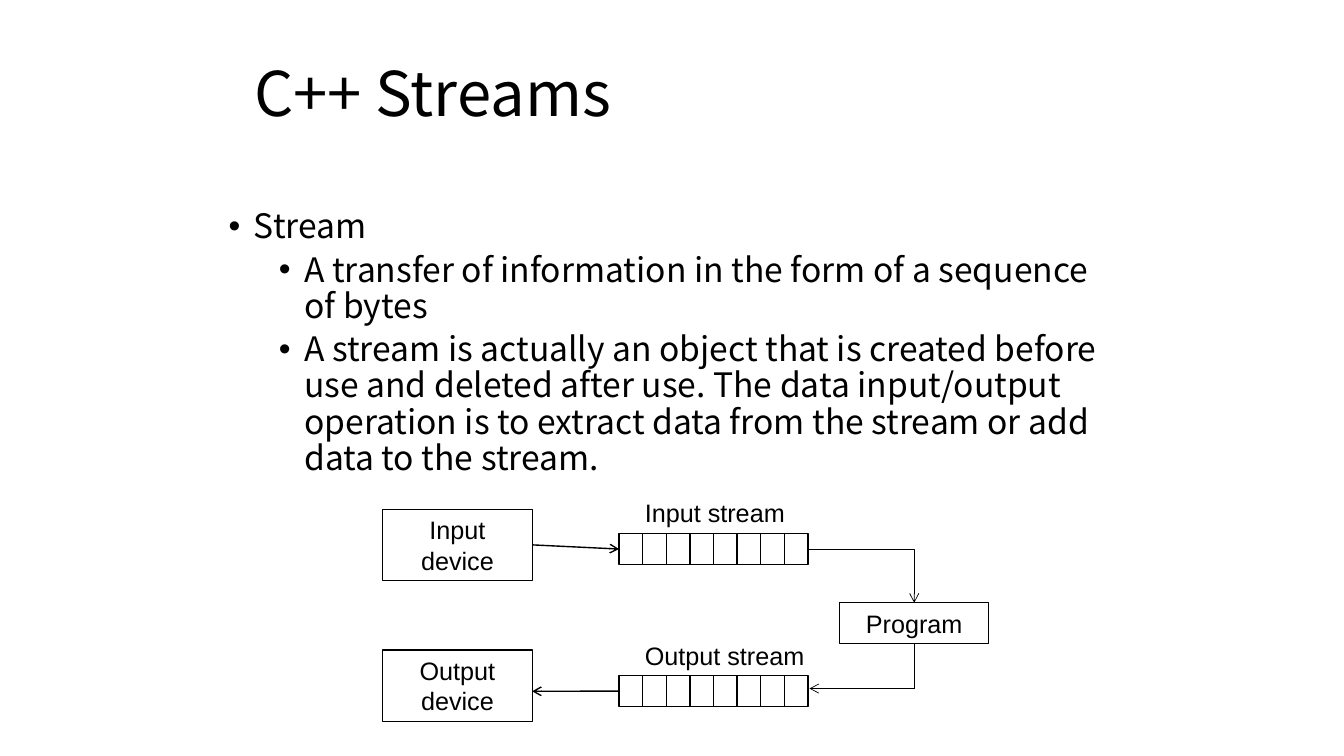
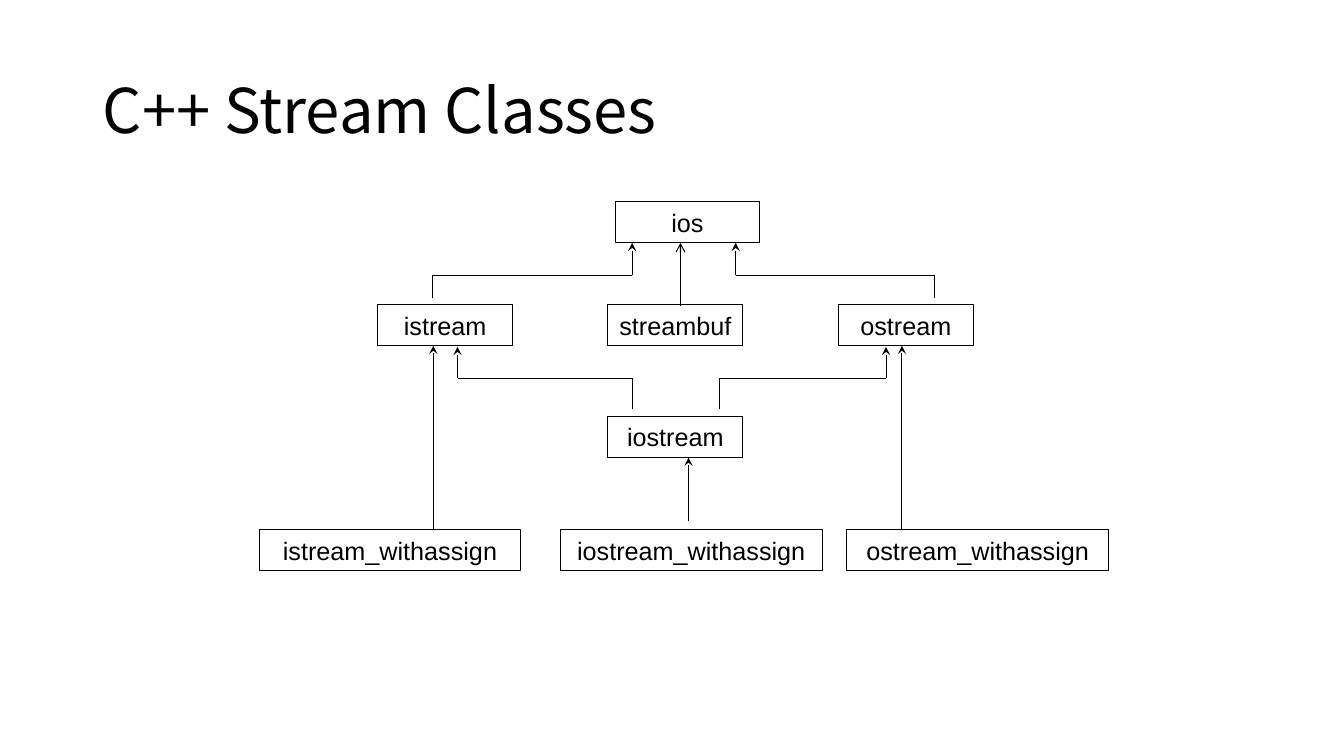
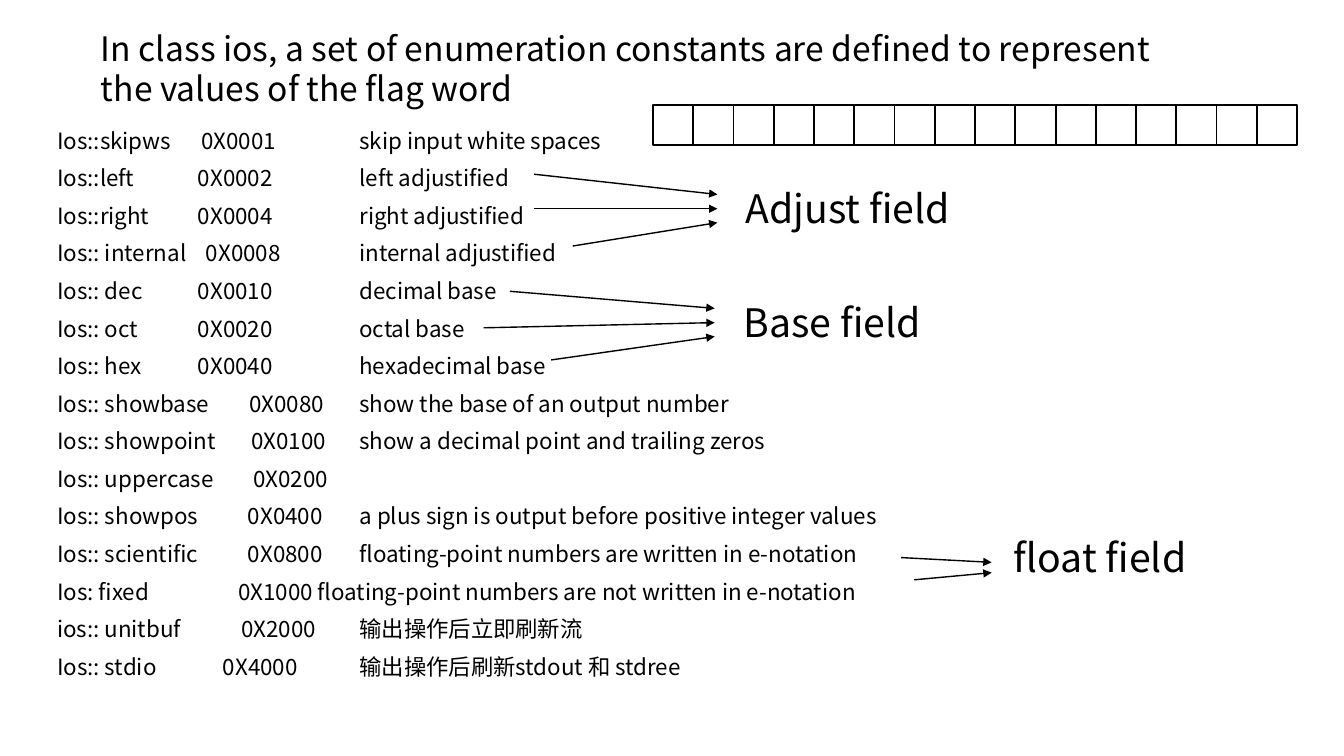
from dataclasses import dataclass

from lxml.etree import SubElement
from pptx import Presentation
from pptx.dml.color import RGBColor
from pptx.enum.shapes import MSO_CONNECTOR, MSO_SHAPE
from pptx.enum.text import MSO_ANCHOR, MSO_AUTO_SIZE, PP_ALIGN
from pptx.oxml.ns import qn
from pptx.util import Cm, Pt


@dataclass(frozen=True)
class Theme:
    ink: RGBColor = RGBColor(0, 0, 0)
    text_font: str = "Noto Sans CJK SC"
    diagram_font: str = "Arial"
    title: int = 44
    field: int = 28
    body: int = 24
    diagram: int = 18
    flags: int = 16
    thin: float = 0.5
    outline: float = 0.75
    medium: float = 1
    heavy: float = 1.25


class Deck:
    def __init__(self, theme):
        self.theme = theme
        self.prs = Presentation()
        self.prs.slide_width, self.prs.slide_height = Cm(33.87), Cm(19.05)
        self.s = None

    def new_slide(self, title, box, size, spacing=0.9, anchor=MSO_ANCHOR.MIDDLE):
        self.s = self.prs.slides.add_slide(self.prs.slide_layouts[5])
        sp = self.s.shapes.title
        sp.left, sp.top, sp.width, sp.height = map(Cm, box)
        tf = sp.text_frame
        tf.text = title
        tf.auto_size = MSO_AUTO_SIZE.NONE
        tf.vertical_anchor = anchor
        p = tf.paragraphs[0]
        p.alignment, p.line_spacing = PP_ALIGN.LEFT, spacing
        self.style(p, size, self.theme.text_font)

    def style(self, p, size, font):
        for r in p.runs:
            r.font.size = Pt(size)
            r.font.color.rgb = self.theme.ink
            r.font.name = font
            SubElement(r.font._element, qn("a:ea")).set("typeface", font)

    def text(self, lines, box, size, font=None, spacing=1.0):
        """Add a text box with one paragraph per line and return its paragraphs."""
        tf = self.s.shapes.add_textbox(*map(Cm, box)).text_frame
        tf.word_wrap = True
        tf.text = "\n".join(lines)
        for p in tf.paragraphs:
            p.line_spacing = spacing
            self.style(p, size, font or self.theme.text_font)
        return tf.paragraphs

    def bullets(self, items, box):
        """Add bulleted text from (level, text) pairs."""
        lines = [line for _, line in items]
        paragraphs = self.text(lines, box, self.theme.body, spacing=0.9)
        for i, (p, (level, _)) in enumerate(zip(paragraphs, items)):
            p.level = level
            if i:
                p.space_before = Pt(5 if level else 10)
            pPr = p._p.get_or_add_pPr()
            pPr.set("marL", str(Cm(0.64 + 1.27 * level)))
            pPr.set("indent", str(Cm(-0.64)))
            SubElement(pPr, qn("a:buFont")).set("typeface", "Arial")
            SubElement(pPr, qn("a:buChar")).set("char", "•")

    def tabbed(self, rows, box, last_stop):
        """Add lines whose first tab stop, in cm, is given row by row."""
        lines = [line for _, line in rows]
        paragraphs = self.text(lines, box, self.theme.flags, spacing=1.4)
        for p, (first_stop, _) in zip(paragraphs, rows):
            tabs = SubElement(p._p.get_or_add_pPr(), qn("a:tabLst"))
            for stop in (first_stop, last_stop):
                tab = SubElement(tabs, qn("a:tab"))
                tab.set("pos", str(Cm(stop)))
                tab.set("algn", "l")

    def box(self, label, box, weight=None):
        sp = self.s.shapes.add_shape(MSO_SHAPE.RECTANGLE, *map(Cm, box))
        sp.shadow.inherit = False
        sp.fill.background()
        sp.line.color.rgb = self.theme.ink
        sp.line.width = Pt(weight or self.theme.outline)
        if label:
            tf = sp.text_frame
            tf.text = label
            tf.word_wrap = False
            tf.vertical_anchor = MSO_ANCHOR.MIDDLE
            for p in tf.paragraphs:
                p.alignment = PP_ALIGN.CENTER
                self.style(p, self.theme.diagram, self.theme.diagram_font)
        return sp

    def cells(self, count, left, top, width, height, weight):
        """Add a row of equal empty cells and return them."""
        step = width / count
        return [self.box("", (left + i * step, top, step, height), weight)
                for i in range(count)]

    def line(self, start, end, weight, head=None, elbow=False):
        """Connect two ends, each a point in cm or a (shape, side) pair."""
        kind = MSO_CONNECTOR.ELBOW if elbow else MSO_CONNECTOR.STRAIGHT
        joined = [not isinstance(e[0], (int, float)) for e in (start, end)]
        points = [(0, 0) if j else e for j, e in zip(joined, (start, end))]
        cx = self.s.shapes.add_connector(kind, *(Cm(v) for xy in points for v in xy))
        if joined[0]:
            cx.begin_connect(*start)
        if joined[1]:
            cx.end_connect(*end)
        cx.line.color.rgb = self.theme.ink
        cx.line.width = Pt(weight)
        spPr = cx._element.spPr
        if elbow:
            spPr.find(qn("a:prstGeom")).set("prst", "bentConnector2")
        if head:
            SubElement(cx.line._get_or_add_ln(), qn("a:tailEnd")).set("type", head)
        SubElement(spPr, qn("a:effectLst"))

    def inherit(self, child_x, bottom, bus, parent_x, top):
        """Draw a stepped arrow from a child class up to its parent."""
        points = [(child_x, bottom), (child_x, bus), (parent_x, bus), (parent_x, top)]
        for start, end, head in zip(points, points[1:], (None, None, "stealth")):
            self.line(start, end, self.theme.outline, head)


TOP, LEFT, BOTTOM, RIGHT = range(4)


def streams_slide(deck):
    t = deck.theme
    deck.new_slide("C++ Streams", (6.15, 0.84, 21.59, 3.18), t.title)
    deck.bullets([
        (0, "Stream"),
        (1, "A transfer of information in the form of a sequence of bytes"),
        (1, "A stream is actually an object that is created before use and deleted "
            "after use. The data input/output operation is to extract data from the "
            "stream or add data to the stream."),
    ], (5.51, 5.16, 22.86, 10.97))

    source = deck.box("Input\ndevice", (9.65, 12.83, 3.76, 1.8))
    deck.box("Output\ndevice", (9.65, 16.38, 3.76, 1.8))
    program = deck.box("Program", (21.16, 15.19, 3.76, 1.02))
    rows = []
    for label, label_top, cell_top in (("Input stream", 12.4, 13.44),
                                       ("Output stream", 16, 17.02)):
        deck.text([label], (16, label_top, 5.56, 1.02), t.diagram, t.diagram_font)
        rows.append(deck.cells(8, 15.6, cell_top, 4.76, 0.79, t.medium))
    inputs, outputs = rows

    corner = (23.04, 17.35)
    deck.line((source, RIGHT), (inputs[0], LEFT), t.medium, "arrow")
    deck.line((inputs[-1], RIGHT), (program, TOP), t.thin, "arrow", elbow=True)
    deck.line((program, BOTTOM), corner, t.thin)
    deck.line(corner, (20.4, 17.35), t.thin, "arrow")
    deck.line((outputs[0], LEFT), (13.41, 17.42), t.medium, "arrow")


def classes_slide(deck):
    t = deck.theme
    deck.new_slide("C++ Stream Classes", (2.34, 1.02, 29.21, 3.68), t.title)
    for name, left, top, width in (
        ("ios", 15.52, 5.08, 3.61),
        ("istream", 9.52, 7.67, 3.4),
        ("streambuf", 15.32, 7.67, 3.4),
        ("ostream", 21.13, 7.67, 3.4),
        ("iostream", 15.32, 10.49, 3.4),
        ("istream_withassign", 6.53, 13.34, 6.6),
        ("iostream_withassign", 14.12, 13.34, 6.6),
        ("ostream_withassign", 21.34, 13.34, 6.6),
    ):
        deck.box(name, (left, top, width, 1.04))

    for child_x, parent_x in ((10.9, 15.93), (23.55, 18.54)):
        deck.inherit(child_x, 7.52, 6.93, parent_x, 6.12)
    for child_x, parent_x in ((15.93, 11.53), (18.14, 22.33)):
        deck.inherit(child_x, 10.31, 9.53, parent_x, 8.74)
    for x, bottom, top, head in (
        (17.15, 7.72, 6.12, "arrow"),
        (10.92, 13.34, 8.71, "stealth"),
        (22.73, 13.34, 8.71, "stealth"),
        (17.35, 13.13, 11.53, "stealth"),
    ):
        deck.line((x, bottom), (x, top), t.outline, head)


def flags_slide(deck):
    t = deck.theme
    deck.new_slide("In class ios, a set of enumeration constants are defined to "
                   "represent the values of the flag word",
                   (2.29, 0.58, 28.27, 2.31), t.body, 1.0, MSO_ANCHOR.TOP)
    deck.tabbed([
        (3.63, "Ios::skipws\t0X0001\tskip input white spaces"),
        (3.55, "Ios::left\t0X0002\tleft adjustified"),
        (3.55, "Ios::right\t0X0004\tright adjustified"),
        (3.75, "Ios:: internal\t0X0008\tinternal adjustified"),
        (3.55, "Ios:: dec\t0X0010\tdecimal base"),
        (3.55, "Ios:: oct\t0X0020\toctal base"),
        (3.55, "Ios:: hex\t0X0040\thexadecimal base"),
        (4.84, "Ios:: showbase\t0X0080\tshow the base of an output number"),
        (4.89, "Ios:: showpoint\t0X0100\tshow a decimal point and trailing zeros"),
        (4.94, "Ios:: uppercase\t0X0200"),
        (4.81, "Ios:: showpos\t0X0400\ta plus sign is output before positive integer values"),
        (4.81, "Ios:: scientific\t0X0800\tfloating-point numbers are written in e-notation"),
        (4.56, "Ios: fixed\t0X1000 floating-point numbers are not written in e-notation"),
        (4.64, "ios:: unitbuf\t0X2000\t输出操作后立即刷新流"),
        (4.18, "Ios:: stdio\t0X4000\t输出操作后刷新stdout 和 stdree"),
    ], (1.19, 2.8, 25.91, 14.6), 7.62)

    for field, box, arrows in (
        ("Adjust field", (18.54, 4.52, 8.26, 1.45),
         [((13.46, 4.39), (18.08, 4.9)), ((13.46, 5.26), (18.08, 5.26)),
          ((14.43, 6.2), (18.08, 5.61))]),
        ("Base field", (18.49, 7.39, 8.26, 1.45),
         [((12.85, 7.34), (18.01, 7.77)), ((12.19, 8.26), (18.01, 8.13)),
          ((13.89, 9.07), (18.01, 8.48))]),
        ("float field", (25.3, 13.31, 6.76, 1.45),
         [((22.71, 14.05), (24.99, 14.17)), ((23.04, 14.61), (24.99, 14.43))]),
    ):
        deck.text([field], box, t.field)
        for start, end in arrows:
            deck.line(start, end, t.medium, "triangle")
    deck.cells(16, 16.46, 2.64, 16.23, 1.02, t.heavy)


def main():
    deck = Deck(Theme())
    streams_slide(deck)
    classes_slide(deck)
    flags_slide(deck)
    deck.prs.save("out.pptx")


if __name__ == "__main__":
    main()
